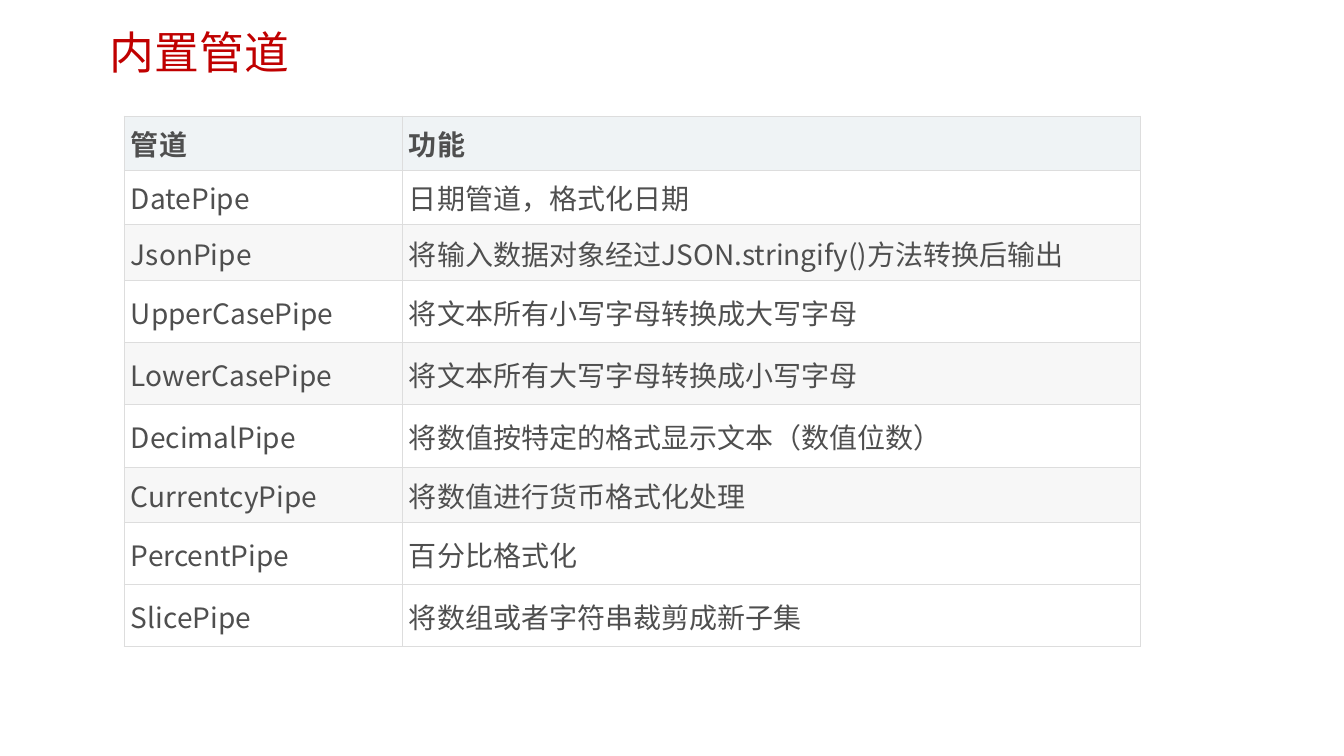
from lxml import etree
from pptx import Presentation
from pptx import util as u
from pptx.dml.color import RGBColor
from pptx.enum import text
from pptx.oxml.ns import qn

SCALE = 914400 / 100.8
FONT = "Noto Sans CJK SC"
ROWS = [
    ("管道", "功能"),
    ("DatePipe", "日期管道，格式化日期"),
    ("JsonPipe", "将输入数据对象经过JSON.stringify()方法转换后输出"),
    ("UpperCasePipe", "将文本所有小写字母转换成大写字母"),
    ("LowerCasePipe", "将文本所有大写字母转换成小写字母"),
    ("DecimalPipe", "将数值按特定的格式显示文本（数值位数）"),
    ("CurrentcyPipe", "将数值进行货币格式化处理"),
    ("PercentPipe", "百分比格式化"),
    ("SlicePipe", "将数组或者字符串裁剪成新子集"),
]
WIDTHS = [278, 738]
HEIGHTS = [54, 55, 56, 62, 62, 63, 55, 62, 62]
FILLS = ["EFF3F5", "FFFFFF", "F7F7F7", "FFFFFF", "F7F7F7",
         "FFFFFF", "F7F7F7", "FFFFFF", "FFFFFF"]


def px(n):
    """Turn pixels into EMU."""
    return u.Emu(round(n * SCALE))


def color(code):
    """Turn a hex string into a colour."""
    return RGBColor.from_string(code)


def apply(item, values):
    """Set attributes from a dict."""
    for name, value in values.items():
        setattr(item, name, value)


def write(frame, words, size, tint, bold=False):
    """Write one styled run and return its paragraph."""
    para = frame.paragraphs[0]
    run = para.add_run()
    run.text = words
    apply(run.font, {"name": FONT, "size": u.Pt(size), "bold": bold})
    run.font.color.rgb = color(tint)
    etree.SubElement(run.font._element, qn("a:ea"), typeface=FONT)
    return para


def border(cell, tint, width):
    """Draw the four borders of a cell."""
    props = cell._tc.get_or_add_tcPr()
    for spot, side in enumerate(("lnL", "lnR", "lnT", "lnB")):
        line = etree.Element(qn("a:" + side), w=str(u.Pt(width)))
        fill = etree.SubElement(line, qn("a:solidFill"))
        etree.SubElement(fill, qn("a:srgbClr"), val=tint)
        props.insert(spot, line)


def title(slide, box, words):
    """Place the slide title in its box."""
    frame = slide.shapes.add_textbox(*map(px, box)).text_frame
    apply(frame, {"word_wrap": True, "vertical_anchor": text.MSO_ANCHOR.TOP})
    write(frame, words, 32, "C00000").line_spacing = 0.9


def pipes(slide, box):
    """Place the table of pipes in its box."""
    table = slide.shapes.add_table(len(ROWS), len(WIDTHS), *map(px, box)).table
    apply(table, {"first_row": False, "horz_banding": False})
    for col, width in zip(table.columns, WIDTHS):
        col.width = px(width)
    sides = ("left", "right", "top", "bottom")
    look = {"margin_" + side: px(7) for side in sides}
    look["vertical_anchor"] = text.MSO_ANCHOR.MIDDLE
    for i, (row, high, words) in enumerate(zip(table.rows, HEIGHTS, ROWS)):
        row.height = px(high)
        for cell, label in zip(row.cells, words):
            apply(cell, look)
            cell.fill.solid()
            cell.fill.fore_color.rgb = color(FILLS[i])
            border(cell, "DDDDDD", 0.75)
            write(cell.text_frame, label, 20, "4F4F4F", i == 0)


def main():
    """Build the slide and save it."""
    deck = Presentation()
    apply(deck, {"slide_width": px(1344), "slide_height": px(756)})
    slide = deck.slides.add_slide(deck.slide_layouts[6])
    title(slide, (100, 26, 835, 54), "内置管道")
    pipes(slide, (124, 116, sum(WIDTHS), sum(HEIGHTS)))
    deck.save("out.pptx")


main()
